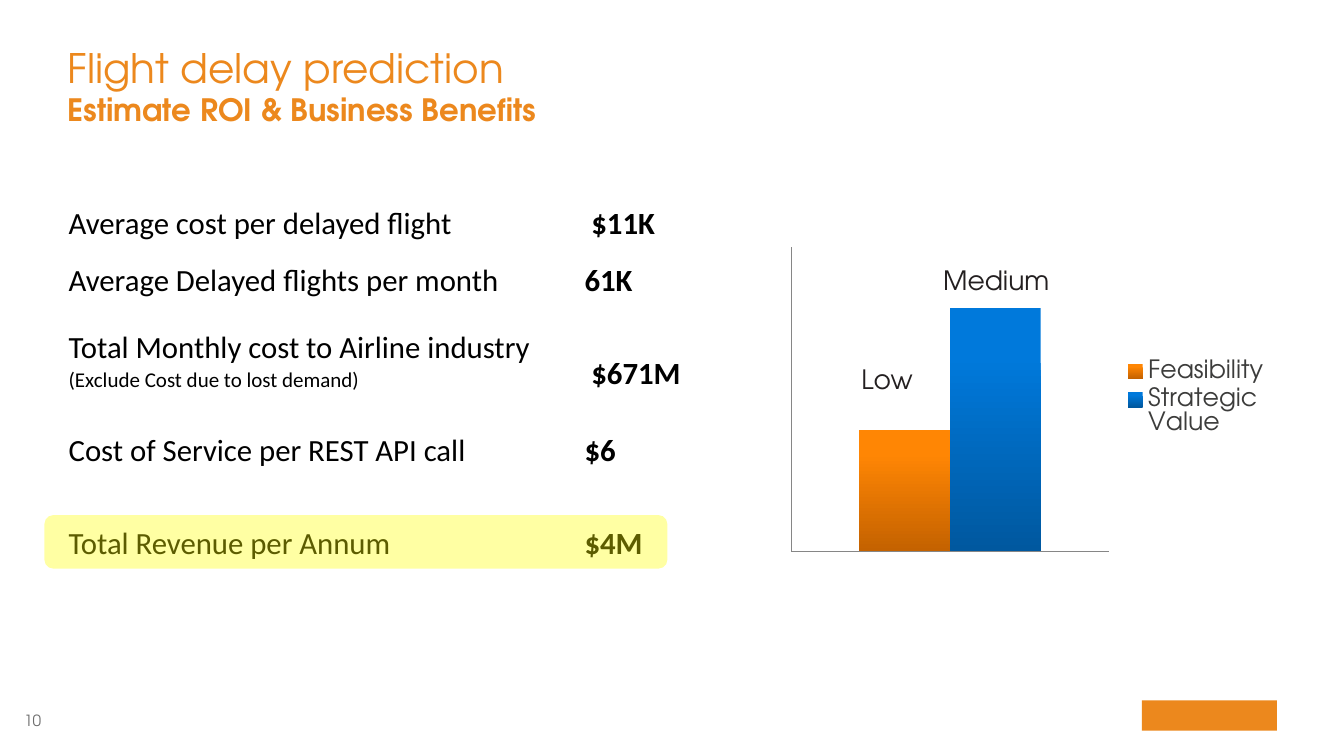
from pptx import Presentation, util as u
from pptx.chart import data as cd
from pptx.dml import color
from pptx.enum import chart as ec, shapes, text

FONT, BODY = "TeX Gyre Adventor", "Calibri"
ORANGE, BLACK, DARK, GREY = "EC881D", "000000", "231F20", "6C6C6C"
TITLE = [("Flight delay prediction", 29, False), ("Estimate ROI & Business Benefits", 22, True)]
COLS = [13.0, 6.15]
ROWS = [
    (2.11, ["Average cost per delayed flight"], " $11K"),
    (1.42, ["Average Delayed flights per month"], "61K"),
    (2.36, ["Total Monthly cost to Airline industry", "(Exclude Cost due to lost demand)"], " $671M"),
    (1.93, ["Cost of Service per REST API call"], "$6"),
    (2.36, ["Total Revenue per Annum"], "$4M"),
]
BARS = [("Feasibility", 50, "FF8604", "C46200"), ("Strategic Value", 100, "0079DB", "00589F")]
TAGS = [("Medium", 23.52, 6.58), ("Low", 21.46, 9.07)]
TIGHT = dict(margin_left=0, margin_right=0, margin_top=0, margin_bottom=0)
CELL = dict(margin_left=u.Cm(0.03), margin_right=u.Cm(0.03), margin_top=u.Cm(0.03),
            margin_bottom=0, vertical_anchor=text.MSO_ANCHOR.BOTTOM)


def put(obj, vals):
    for key, val in vals.items():
        setattr(obj, key, val)


def hue(code):
    return color.RGBColor.from_string(code)


def cms(*nums):
    return [u.Cm(n) for n in nums]


def write(para, words, size, tint, face=FONT, bold=False):
    run = para.add_run()
    run.text = words
    put(run.font, dict(size=u.Pt(size), name=face, bold=bold))
    run.font.color.rgb = hue(tint)


def box(slide, spot, form):
    frame = slide.shapes.add_textbox(*cms(*spot)).text_frame
    put(frame, {"word_wrap": True, **form})
    return frame.paragraphs[0]


def block(slide, kind, spot, tint):
    shape = slide.shapes.add_shape(kind, *cms(*spot))
    shape.shadow.inherit = False
    shape.fill.solid()
    shape.fill.fore_color.rgb = hue(tint)
    shape.line.fill.background()
    return shape


def grid(slide):
    table = slide.shapes.add_table(len(ROWS), len(COLS), *cms(
        1.7, 4.01, sum(COLS), sum(row[0] for row in ROWS))).table
    put(table, dict(first_row=False, horz_banding=False))
    for col, wide in zip(table.columns, COLS):
        col.width = u.Cm(wide)
    for r, (high, lines, cost) in enumerate(ROWS):
        table.rows[r].height = u.Cm(high)
        for c, words in enumerate([lines, [cost]]):
            cell = table.cell(r, c)
            put(cell, CELL)
            cell.fill.background()
            for n, line in enumerate(words):
                frame = cell.text_frame
                para = frame.add_paragraph() if n else frame.paragraphs[0]
                write(para, line, 15 if n else 22, BLACK, BODY, c == 1)


def place(item, x, y, w, h, inner=False):
    for old in item.findall("{*}layout"):
        item.remove(old)
    lay = item.makeelement(item.tag.split("}")[0] + "}layout", {})
    man = lay.makeelement(lay.tag.replace("layout", "manualLayout"), {})
    lay.append(man)
    vals = [("layoutTarget", "inner")] if inner else []
    vals += [("xMode", "edge"), ("yMode", "edge"), ("x", x), ("y", y), ("w", w), ("h", h)]
    for key, val in vals:
        man.append(man.makeelement(lay.tag.replace("layout", key), {"val": str(val)}))
    item.insert(0 if inner else 1, lay)


def graph(slide):
    data = cd.CategoryChartData()
    data.categories = ["1"]
    for name, val, *_ in BARS:
        data.add_series(name, [val])
    chart = slide.shapes.add_chart(ec.XL_CHART_TYPE.COLUMN_CLUSTERED,
                                   *cms(19.69, 6.07, 12.5, 7.98), data).chart
    put(chart, dict(has_title=False, has_legend=True))
    put(chart.font, dict(size=u.Pt(18), name=FONT))
    chart.font.color.rgb = hue("3C3C3B")
    put(chart.legend, dict(position=ec.XL_LEGEND_POSITION.RIGHT, include_in_layout=False))
    put(chart.value_axis, dict(minimum_scale=0, maximum_scale=125))
    for axis in (chart.category_axis, chart.value_axis):
        put(axis, dict(has_major_gridlines=False, major_tick_mark=ec.XL_TICK_MARK.NONE,
                       minor_tick_mark=ec.XL_TICK_MARK.NONE,
                       tick_label_position=ec.XL_TICK_LABEL_POSITION.NONE))
        axis.format.line.width = u.Pt(0.75)
        axis.format.line.color.rgb = hue("868686")
    plot = chart.plots[0]
    put(plot, dict(gap_width=150, overlap=0, vary_by_categories=False))
    for bar, (_, _, *tints) in zip(plot.series, BARS):
        fill = bar.format.fill
        fill.gradient()
        fill.gradient_angle = 270
        for stop, tint, spot in zip(fill.gradient_stops, tints, (0.2, 1)):
            stop.color.rgb = hue(tint)
            stop.position = spot
    area = chart.element.find(".//{*}plotArea")
    place(area, 0.02, 0.02, 0.64, 0.96, True)
    place(chart.element.find(".//{*}legend"), 0.68, 0.36, 0.31, 0.27)


def main():
    deck = Presentation()
    put(deck, dict(slide_width=u.Cm(33.87), slide_height=u.Cm(19.05)))
    slide = deck.slides.add_slide(deck.slide_layouts[6])

    page = box(slide, (0.56, 17.91, 0.48, 0.48), {**TIGHT, "word_wrap": False})
    page.alignment = text.PP_ALIGN.RIGHT
    write(page, "10", 11, GREY)
    block(slide, shapes.MSO_SHAPE.RECTANGLE, (28.78, 17.65, 3.4, 0.76), ORANGE)

    head = box(slide, (1.7, 0.64, 30.48, 2.59),
               {**TIGHT, "vertical_anchor": text.MSO_ANCHOR.BOTTOM})
    head.line_spacing = 0.95
    for n, (words, size, bold) in enumerate(TITLE):
        if n:
            head.add_line_break()
        write(head, words, size, ORANGE, bold=bold)

    grid(slide)
    graph(slide)
    for words, x, y in TAGS:
        tag = box(slide, (x, y, 3.68, 1.04), {})
        put(tag, dict(line_spacing=0.95, space_before=u.Pt(4)))
        write(tag, words, 19, DARK)

    glow = block(slide, shapes.MSO_SHAPE.ROUNDED_RECTANGLE, (1.12, 12.98, 15.7, 1.35), "FFFF00")
    tint = glow.element.spPr.find("{*}solidFill")[0]
    tint.append(tint.makeelement(tint.tag.replace("srgbClr", "alpha"), {"val": "36000"}))
    deck.save("out.pptx")


if __name__ == "__main__":
    main()
